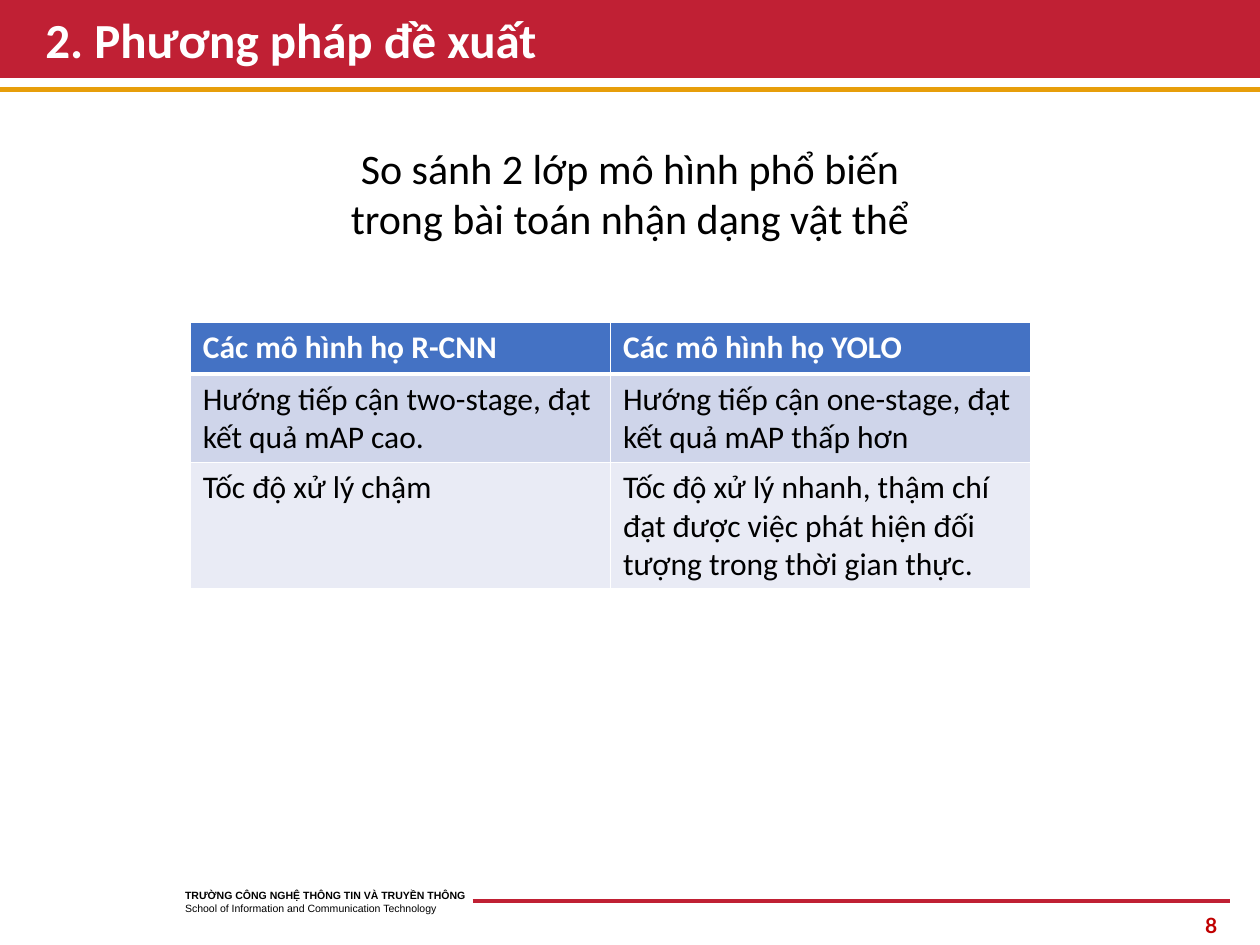
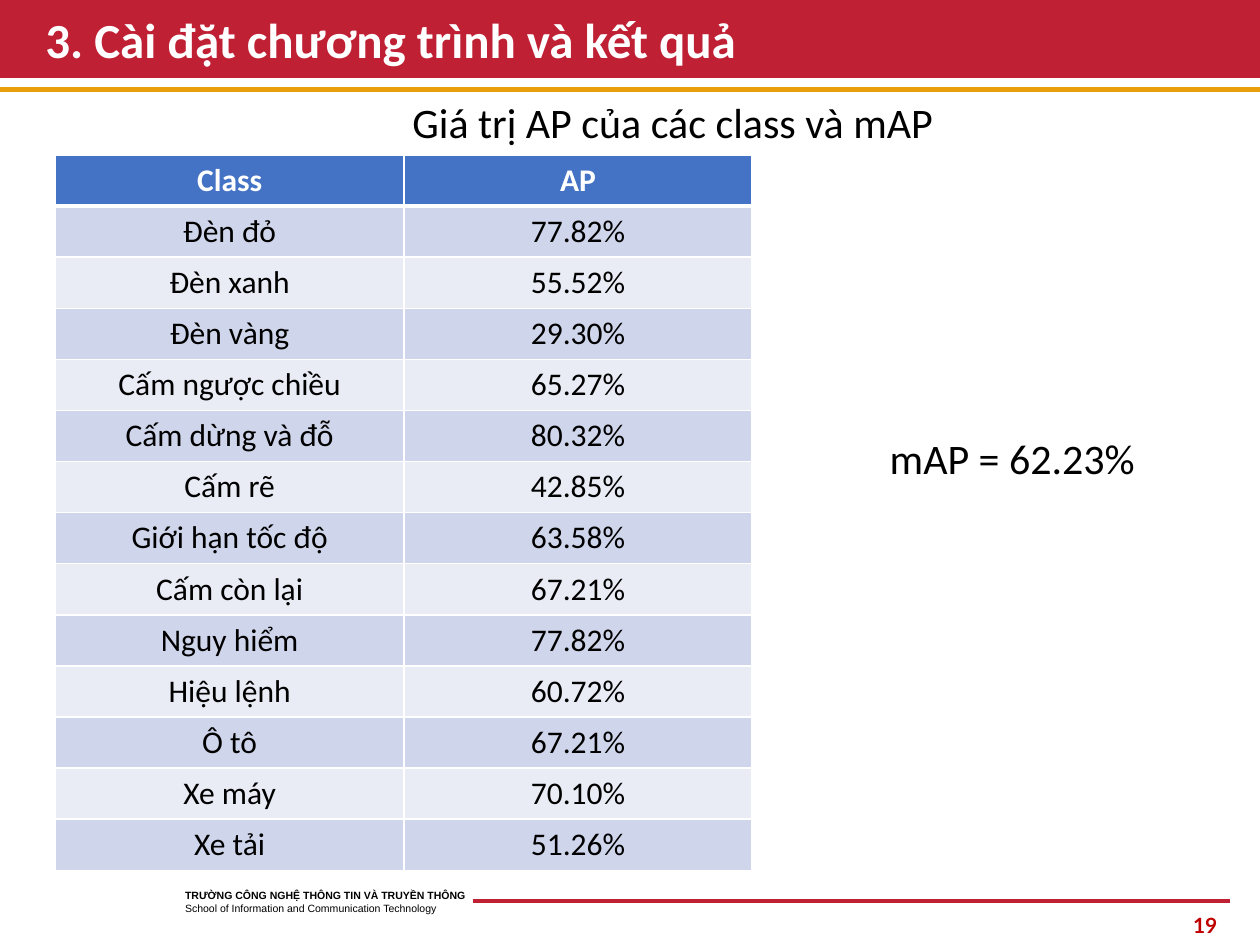
from dataclasses import dataclass

from lxml import etree
from pptx import Presentation
from pptx.dml.color import RGBColor as RGB
from pptx.enum.shapes import MSO_CONNECTOR as Conn
from pptx.enum.text import MSO_ANCHOR as Anchor, MSO_AUTO_SIZE as AutoSize, PP_ALIGN as Align
from pptx.oxml.ns import qn
from pptx.util import Inches, Pt


@dataclass(frozen=True)
class Theme:
    # Colours
    red: str = "C02034"
    gold: str = "E79E0A"
    number: str = "C00000"
    header: str = "4472C4"
    bands: tuple = ("CFD5EA", "E9EBF5")
    white: str = "FFFFFF"
    black: str = "000000"
    # Fonts
    main: str = "Calibri"
    footer: str = "Arial"
    page: str = "Lato"
    # Type sizes
    title_size: int = 28
    text_size: int = 24
    cell_size: int = 18
    page_size: int = 12
    footer_size: int = 6


class Deck:
    TITLE_ONLY = 5

    def __init__(self, theme):
        self.theme = theme
        self.prs = Presentation()
        self.prs.slide_width, self.prs.slide_height = Inches(10), Inches(7.5)
        self.slide = None

    def style(self, font, name, size, color, bold=False):
        font.name, font.size, font.bold = name, Pt(size), bold
        font.color.rgb = RGB.from_string(color)

    def line(self, x1, x2, y, color, width):
        ln = self.slide.shapes.add_connector(
            Conn.STRAIGHT, Inches(x1), Inches(y), Inches(x2), Inches(y))
        ln.line.color.rgb = RGB.from_string(color)
        ln.line.width = Pt(width)
        etree.SubElement(ln._element.spPr, qn("a:effectLst"))

    def box(self, x, y, w, h):
        sp = self.slide.shapes.add_textbox(Inches(x), Inches(y), Inches(w), Inches(h))
        sp.text_frame.word_wrap = True
        return sp.text_frame.paragraphs[0]

    def text(self, text, x, y, w, h):
        t = self.theme
        p = self.box(x, y, w, h)
        p.text, p.alignment = text, Align.CENTER
        self.style(p.font, t.main, t.text_size, t.black)

    def title(self, text):
        t = self.theme
        sp = self.slide.shapes.title
        self.slide.shapes._spTree.append(sp._element)  # bring above the band
        sp.left, sp.top, sp.width, sp.height = map(Inches, (0.26, 0.09, 9.49, 0.49))
        tf = sp.text_frame
        tf.text = text
        tf.word_wrap, tf.auto_size = True, AutoSize.NONE
        tf.vertical_anchor = Anchor.MIDDLE
        p = tf.paragraphs[0]
        p.alignment, p.line_spacing = Align.LEFT, 0.9
        self.style(p.font, t.main, t.title_size, t.white, True)

    def footer(self, number):
        t = self.theme
        p = self.box(1.37, 7.01, 2.89, 0.3)
        school = p.add_run()
        school.text = "TRƯỜNG CÔNG NGHỆ THÔNG TIN VÀ TRUYỀN THÔNG"
        p.add_line_break()
        english = p.add_run()
        english.text = "School of Information and Communication Technology"
        self.style(p.font, t.footer, t.footer_size, t.black)
        for r in (school, english):
            self.style(r.font, t.footer, t.footer_size, t.black, r is school)
        self.line(3.75, 9.76, 7.15, t.red, 2.25)
        p = self.box(7.51, 7.19, 2.25, 0.3)
        p.text, p.alignment = str(number), Align.RIGHT
        self.style(p.font, t.page, t.page_size, t.number, True)

    def new_slide(self, title, number):
        t = self.theme
        self.slide = self.prs.slides.add_slide(self.prs.slide_layouts[self.TITLE_ONLY])
        self.line(0, 10, 0.31, t.red, 45)
        self.line(0, 10, 0.71, t.gold, 3)
        self.footer(number)
        self.title(title)

    def borders(self, cell, row):
        # The rule under the header row is thicker
        widths = {"L": 1, "R": 1, "T": 3 if row == 1 else 1, "B": 3 if row == 0 else 1}
        tc_pr = cell._tc.get_or_add_tcPr()
        for side, width in widths.items():
            ln = etree.SubElement(tc_pr, qn(f"a:ln{side}"), w=str(Pt(width)))
            fill = etree.SubElement(ln, qn("a:solidFill"))
            etree.SubElement(fill, qn("a:srgbClr"), val=self.theme.white)

    def table(self, rows, x, y, w, row_height, align=Align.LEFT):
        t = self.theme
        n_cols = len(rows[0])
        table = self.slide.shapes.add_table(
            len(rows), n_cols, Inches(x), Inches(y), Inches(w),
            Inches(row_height * len(rows))).table
        for i, values in enumerate(rows):
            head = i == 0
            for j, value in enumerate(values):
                cell = table.cell(i, j)
                self.borders(cell, i)
                cell.fill.solid()
                cell.fill.fore_color.rgb = RGB.from_string(
                    t.header if head else t.bands[(i - 1) % 2])
                cell.text = value
                p = cell.text_frame.paragraphs[0]
                p.alignment = align
                self.style(p.font, t.main, t.cell_size, t.white if head else t.black, head)


def main():
    deck = Deck(Theme())

    # Comparison of the two model families
    deck.new_slide("2. Phương pháp đề xuất", 8)
    deck.text("So sánh 2 lớp mô hình phổ biến trong bài toán nhận dạng vật thể",
              2.42, 1.08, 5.16, 0.91)
    models = [
        ("Các mô hình họ R-CNN", "Các mô hình họ YOLO"),
        ("Hướng tiếp cận two-stage, đạt kết quả mAP cao.",
         "Hướng tiếp cận one-stage, đạt kết quả mAP thấp hơn"),
        ("Tốc độ xử lý chậm",
         "Tốc độ xử lý nhanh, thậm chí đạt được việc phát hiện đối tượng "
         "trong thời gian thực."),
    ]
    deck.table(models, 1.51, 2.56, 6.67, 0.41)

    # AP of each class
    deck.new_slide("3. Cài đặt chương trình và kết quả", 19)
    deck.text("Giá trị AP của các class và mAP", 1.58, 0.72, 7.52, 0.5)
    class_ap = [
        ("Class", "AP"),
        ("Đèn đỏ", "77.82%"),
        ("Đèn xanh", "55.52%"),
        ("Đèn vàng", "29.30%"),
        ("Cấm ngược chiều", "65.27%"),
        ("Cấm dừng và đỗ", "80.32%"),
        ("Cấm rẽ", "42.85%"),
        ("Giới hạn tốc độ", "63.58%"),
        ("Cấm còn lại", "67.21%"),
        ("Nguy hiểm", "77.82%"),
        ("Hiệu lệnh", "60.72%"),
        ("Ô tô", "67.21%"),
        ("Xe máy", "70.10%"),
        ("Xe tải", "51.26%"),
    ]
    deck.table(class_ap, 0.44, 1.23, 5.53, 5.68 / len(class_ap), Align.CENTER)
    deck.text("mAP = 62.23%", 5.67, 3.38, 4.73, 0.5)

    deck.prs.save("out.pptx")


if __name__ == "__main__":
    main()
